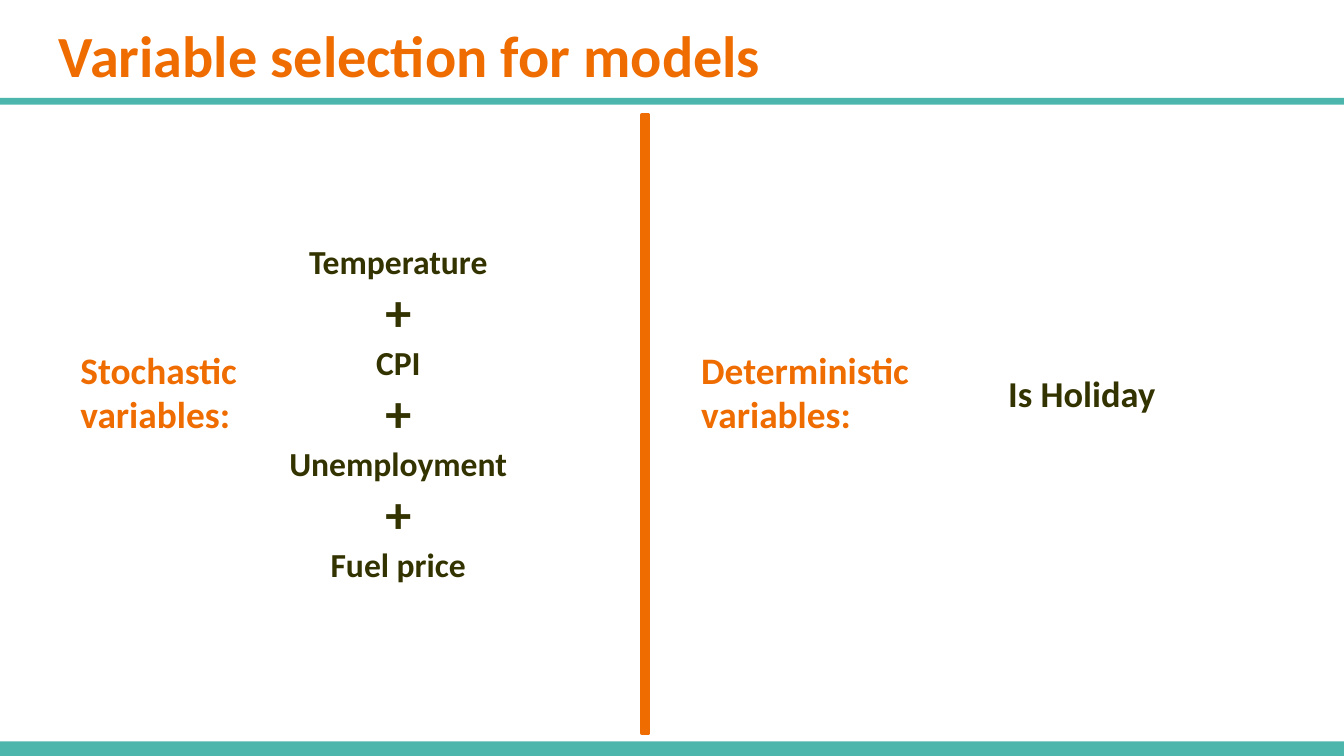
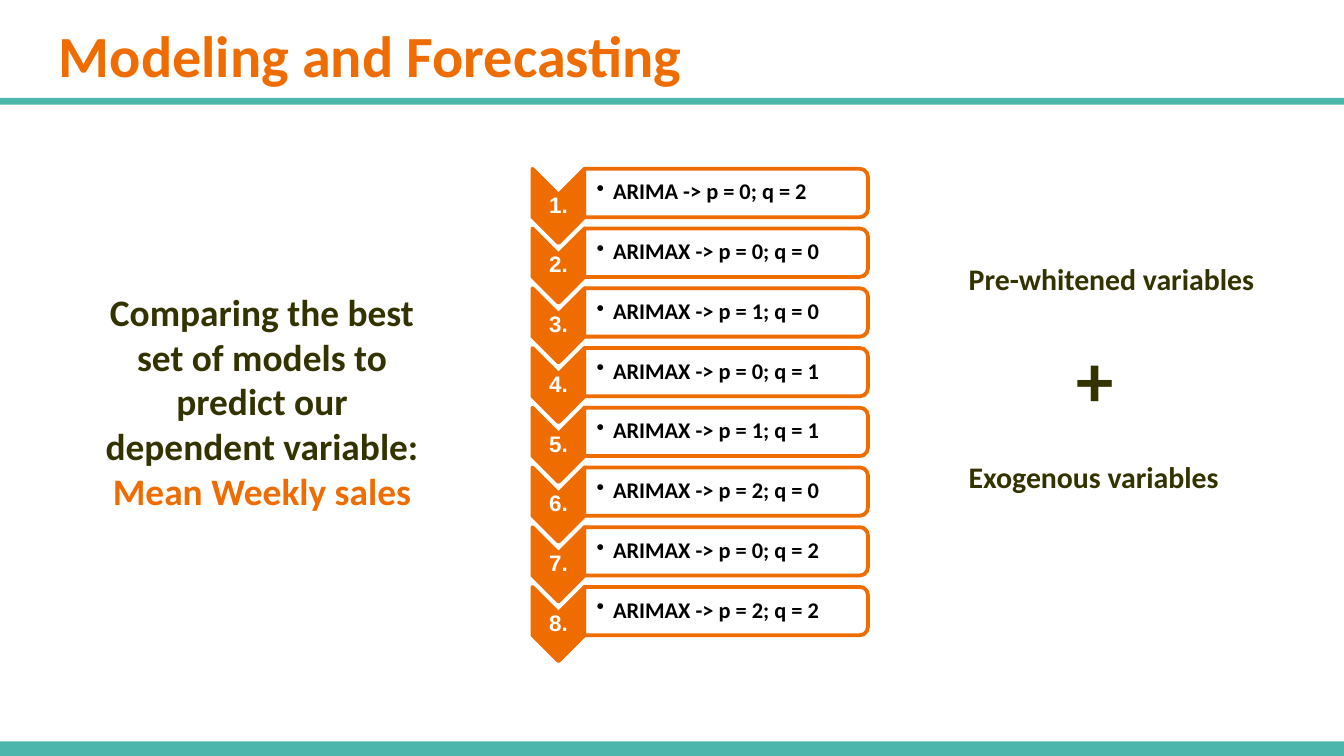
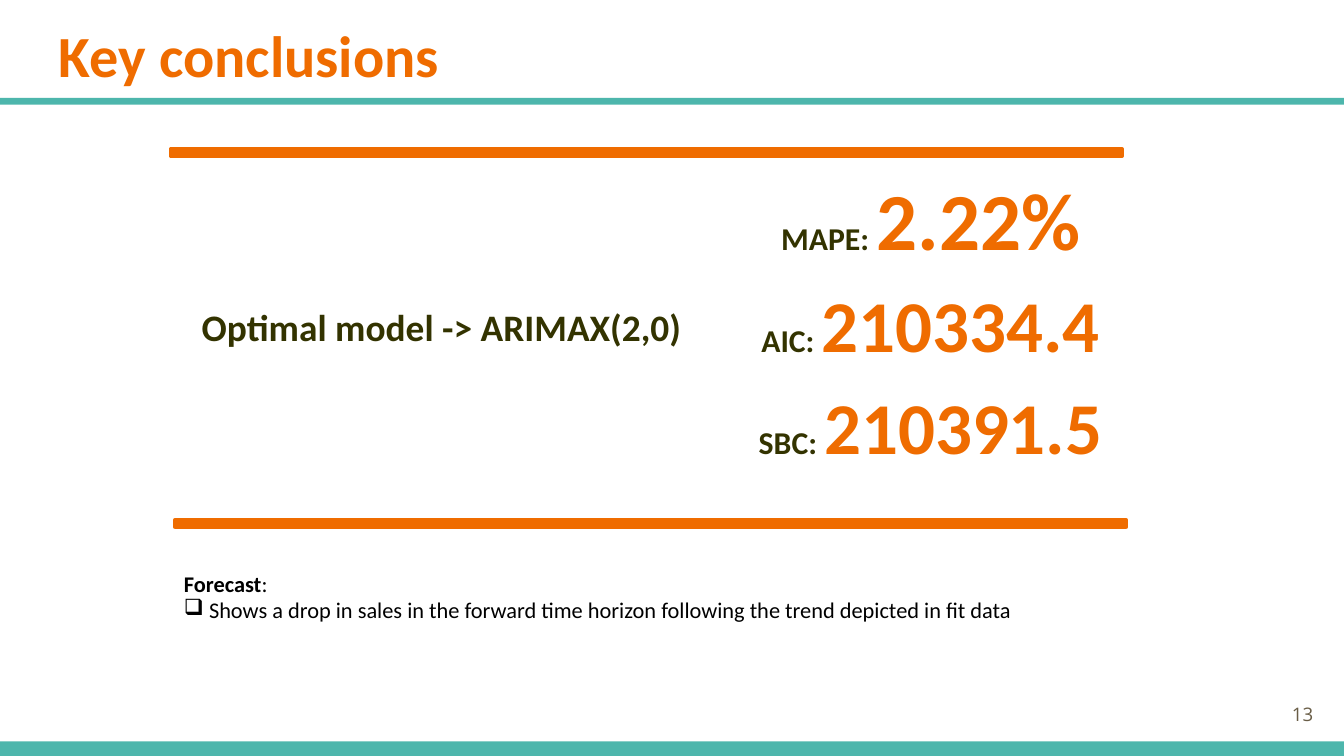
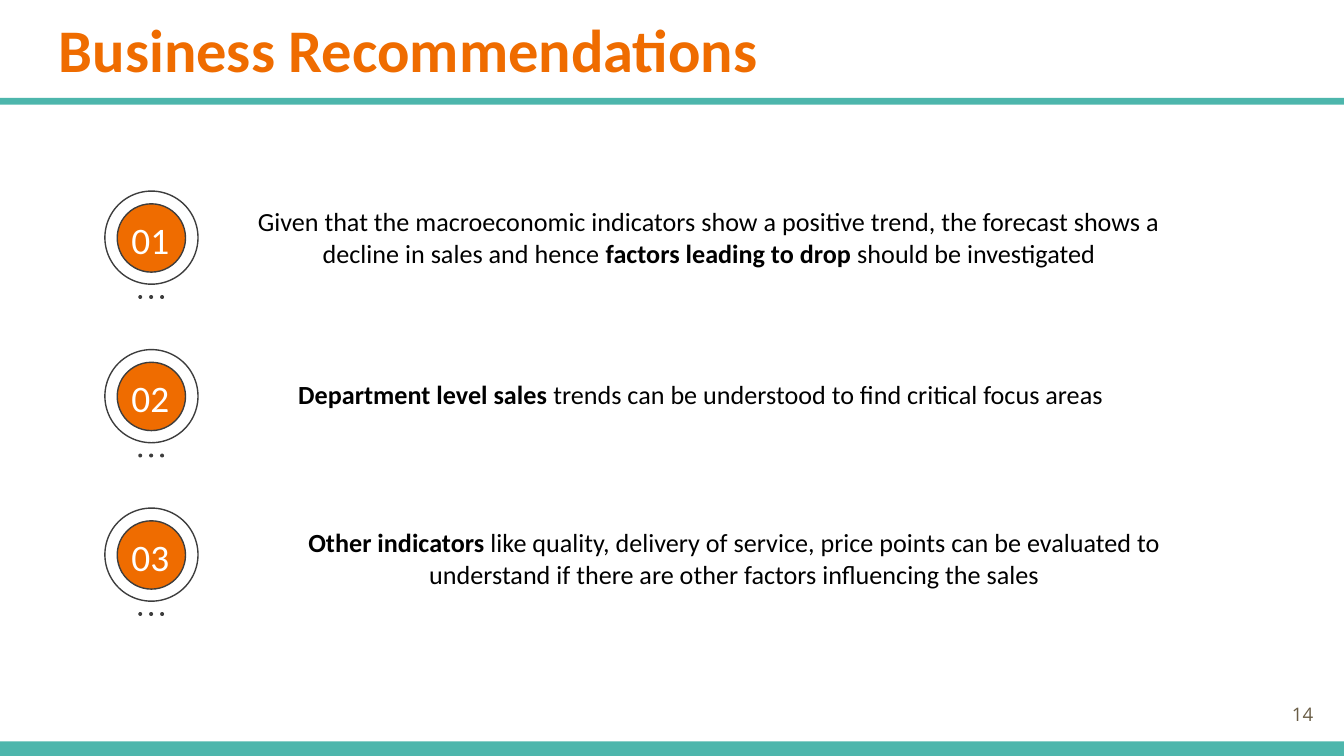
from dataclasses import dataclass

from lxml import etree
from pptx import Presentation
from pptx.dml.color import RGBColor
from pptx.enum.shapes import MSO_SHAPE
from pptx.enum.text import MSO_ANCHOR, PP_ALIGN
from pptx.oxml.ns import qn
from pptx.util import Pt

RECT = MSO_SHAPE.RECTANGLE
OVAL = MSO_SHAPE.OVAL
CHEVRON = MSO_SHAPE.CHEVRON
TAB = MSO_SHAPE.ROUND_2_SAME_RECTANGLE
LEFT, CENTER, RIGHT = PP_ALIGN.LEFT, PP_ALIGN.CENTER, PP_ALIGN.RIGHT
TOP, MIDDLE = MSO_ANCHOR.TOP, MSO_ANCHOR.MIDDLE


@dataclass(frozen=True)
class Theme:
    teal: str = "4DB6AC"
    orange: str = "EF6C00"
    olive: str = "333300"
    black: str = "000000"
    white: str = "FFFFFF"
    gray: str = "3D3D3D"
    brown: str = "695D46"
    face: str = "Calibri"
    digit: str = "Arial"
    folio: str = "Open Sans"
    title: float = 31.2
    lead: float = 20
    item: float = 18
    plus: float = 27.9
    label: float = 17
    note: float = 16
    body: float = 14
    small: float = 12
    page: float = 10
    wide: float = 720
    high: float = 405


T = Theme()
EVEN = (7.2, 7.2, 7.2, 7.2)
FLAT = (7.2, 3.6, 7.2, 3.6)
TIGHT = (0.7, 0.7, 0.7, 0.7)


@dataclass
class Run:
    text: str
    size: float = None
    color: str = None
    bold: bool = None


@dataclass
class Para:
    runs: list
    size: float
    color: str = T.olive
    bold: bool = True
    face: str = T.face
    align: int = LEFT
    gap: float = 0
    line: float = None
    left: float = 0
    mark: str = None


def style(font, size, color, bold):
    if size is not None:
        font.size = Pt(size)
    if color is not None:
        font.color.rgb = RGBColor.from_string(color)
    if bold is not None:
        font.bold = bold


def fill_para(target, para):
    props = target._p.get_or_add_pPr()
    if para.left:
        props.set("marL", str(Pt(para.left)))
    if para.mark:
        props.set("indent", str(-Pt(para.left)))
        etree.SubElement(props, qn("a:buChar")).set("char", para.mark)
    target.alignment = para.align
    if para.gap:
        target.space_before = Pt(para.gap)
    if para.line:
        target.line_spacing = para.line
    target.font.name = para.face
    style(target.font, para.size, para.color, para.bold)
    for part in para.runs:
        run = target.add_run()
        run.text = part.text
        style(run.font, part.size, part.color, part.bold)


def write(slide, box, paras, inset=EVEN, anchor=TOP):
    frame = slide.shapes.add_textbox(*map(Pt, box)).text_frame
    frame.word_wrap = True
    frame.vertical_anchor = anchor
    (frame.margin_left, frame.margin_top,
     frame.margin_right, frame.margin_bottom) = map(Pt, inset)
    for index, para in enumerate(paras):
        target = frame.add_paragraph() if index else frame.paragraphs[0]
        fill_para(target, para)


def line_of(text, size, **opts):
    return Para([Run(text)], size, **opts)


def draw(slide, kind, box, fill, edge=None, weight=2, turn=0, bends=(), alpha=None):
    shape = slide.shapes.add_shape(kind, *map(Pt, box))
    shape.shadow.inherit = False
    shape.rotation = turn
    for index, bend in enumerate(bends):
        shape.adjustments[index] = bend
    shape.fill.solid()
    shape.fill.fore_color.rgb = RGBColor.from_string(fill)
    if alpha:
        tone = shape.fill._xPr.find(qn("a:solidFill"))[0]
        etree.SubElement(tone, qn("a:alpha")).set("val", str(alpha * 1000))
    if edge:
        shape.line.color.rgb = RGBColor.from_string(edge)
        shape.line.width = Pt(weight)
    else:
        shape.line.fill.background()


def start(deck, title, top=2.9, size=T.title, page=None):
    slide = deck.slides.add_slide(deck.slide_layouts[6])
    draw(slide, RECT, (0, 397.2, T.wide, 7.8), T.teal)
    draw(slide, RECT, (0, 52.4, T.wide, 3.6), T.teal)
    write(slide, (24.5, top, 671, 55.4), [line_of(title, size, color=T.orange)])
    if page:
        number = line_of(page, T.page, color=T.brown, bold=False,
                         face=T.folio, align=RIGHT)
        write(slide, (667.4, 367.2, 43.2, 31), [number], anchor=MIDDLE)
    return slide


def bar(slide, box, turn=0):
    draw(slide, RECT, box, T.orange, T.orange, turn=turn)


def variables(deck):
    slide = start(deck, "Variable selection for models")
    terms = []
    for name in ("Temperature", "CPI", "Unemployment", "Fuel price"):
        if terms:
            terms.append(line_of("+", T.plus, align=CENTER, line=0.98))
        terms.append(line_of(name, T.item, align=CENTER, line=0.98))
    write(slide, (116.2, 123.1, 194.4, 174.2), terms)
    write(slide, (463.7, 191.5, 231.8, 174.2),
          [line_of("Is Holiday", 19.5, align=CENTER)])
    bar(slide, (180, 225.4, 331.2, 3.6), turn=90)
    for left, kind in ((36, "Stochastic"), (368.6, "Deterministic")):
        words = [line_of(word, T.lead, color=T.orange) for word in (kind, "variables:")]
        write(slide, (left, 182.2, 149, 90), words, FLAT)


def step(slide, index, model):
    down = index * 32
    draw(slide, CHEVRON, (279.3, 96.4 + down, 39.8, 27.9), T.orange, T.orange,
         turn=90, bends=(0.5,))
    write(slide, (285.2, 104.3 + down, 28, 12),
          [line_of(f"{index + 1}.", T.small, color=T.white, face=T.digit,
                   align=CENTER, line=0.9)], TIGHT, MIDDLE)
    draw(slide, TAB, (376, 27.4 + down, 25.9, 152), T.white, T.orange,
         turn=90, bends=(0.167, 0), alpha=90)
    write(slide, (313.2, 91.6 + down, 150.5, 23.3),
          [line_of(model, T.small, color=T.black, line=0.9, left=8.8, mark="•")],
          (6.4, 0.7, 0.7, 0.7), MIDDLE)


def modeling(deck):
    slide = start(deck, "Modeling and Forecasting")
    goal = Para([Run("Comparing the best set of models to predict our dependent variable: "),
                 Run("Mean Weekly sales", color=T.orange)], T.lead, align=CENTER)
    write(slide, (43.2, 147.6, 194.4, 174.2), [goal])
    write(slide, (511.9, 136.1, 180, 133.2), [
        line_of("Pre-whitened variables", T.note),
        line_of("+", 40, gap=19.5, left=58),
        line_of("Exogenous variables", T.note, gap=19.5),
    ], FLAT)
    orders = ((0, 0), (1, 0), (0, 1), (1, 1), (2, 0), (0, 2), (2, 2))
    models = ["ARIMA -> p = 0; q = 2"]
    models += [f"ARIMAX -> p = {p}; q = {q}" for p, q in orders]
    for index, model in enumerate(models):
        step(slide, index, model)


def findings(deck):
    slide = start(deck, "Key conclusions", page="13")
    write(slide, (92.9, 155.5, 287.3, 174.2),
          [line_of("Optimal model -> ARIMAX(2,0)", T.lead, align=CENTER)])
    scores = (("MAPE: ", "2.22%", 43.4), ("AIC: ", "210334.4", 39.1),
              ("SBC: ", "210391.5", 39.1))
    write(slide, (355, 93.6, 287.3, 174.2), [
        Para([Run(name), Run(value, size, T.orange)], T.label, align=CENTER,
             line=0.8, gap=16.6 if index else 0)
        for index, (name, value, size) in enumerate(scores)])
    bar(slide, (93.6, 278.6, 509.8, 3.6))
    bar(slide, (91.4, 79.9, 509.8, 3.6))
    trend = "Shows a drop in sales in the forward time horizon following the trend depicted in fit data"
    write(slide, (91.4, 301.7, 550, 36), [
        Para([Run("Forecast", bold=True), Run(":")], T.small, T.black, False),
        line_of(trend, T.small, color=T.black, bold=False, left=13.5, mark="❑"),
    ], FLAT)


def badge(slide, index):
    down = index * 84.9
    draw(slide, OVAL, (56.2, 102.4 + down, 49.9, 49.9), T.white, T.gray, 0.75)
    draw(slide, OVAL, (62.8, 109.2 + down, 36.6, 36.6), T.orange, T.gray, 0.75)
    for dot in range(3):
        draw(slide, OVAL, (74.1 + dot * 5.85, 158.1 + down, 2.1, 2.1), T.gray)
    write(slide, (62.6, 114.6 + down, 36, 27.4),
          [line_of(f"{index + 1:02}", T.lead, color=T.white, bold=False,
                   align=CENTER)], anchor=MIDDLE)


def advice(deck):
    slide = start(deck, "Business Recommendations", -0.7, 32.4, "14")
    points = (
        (103, 500.4, [
            Run("Given that the macroeconomic indicators show a positive trend, "
                "the forecast shows a decline in sales and hence "),
            Run("factors leading to drop ", bold=True),
            Run("should be investigated")]),
        (195.8, 491.8, [
            Run("Department level sales", bold=True),
            Run(" trends can be understood to find critical focus areas")]),
        (275, 527.8, [
            Run("Other indicators ", bold=True),
            Run("like quality, delivery of service, price points can be evaluated to "
                "understand if there are other factors influencing the sales")]),
    )
    for index, (top, width, runs) in enumerate(points):
        badge(slide, index)
        write(slide, (129.6, top, width, 55.4),
              [Para(runs, T.body, T.black, False, align=CENTER)])


def main():
    deck = Presentation()
    deck.slide_width, deck.slide_height = Pt(T.wide), Pt(T.high)
    for build in (variables, modeling, findings, advice):
        build(deck)
    deck.save("out.pptx")


if __name__ == "__main__":
    main()
